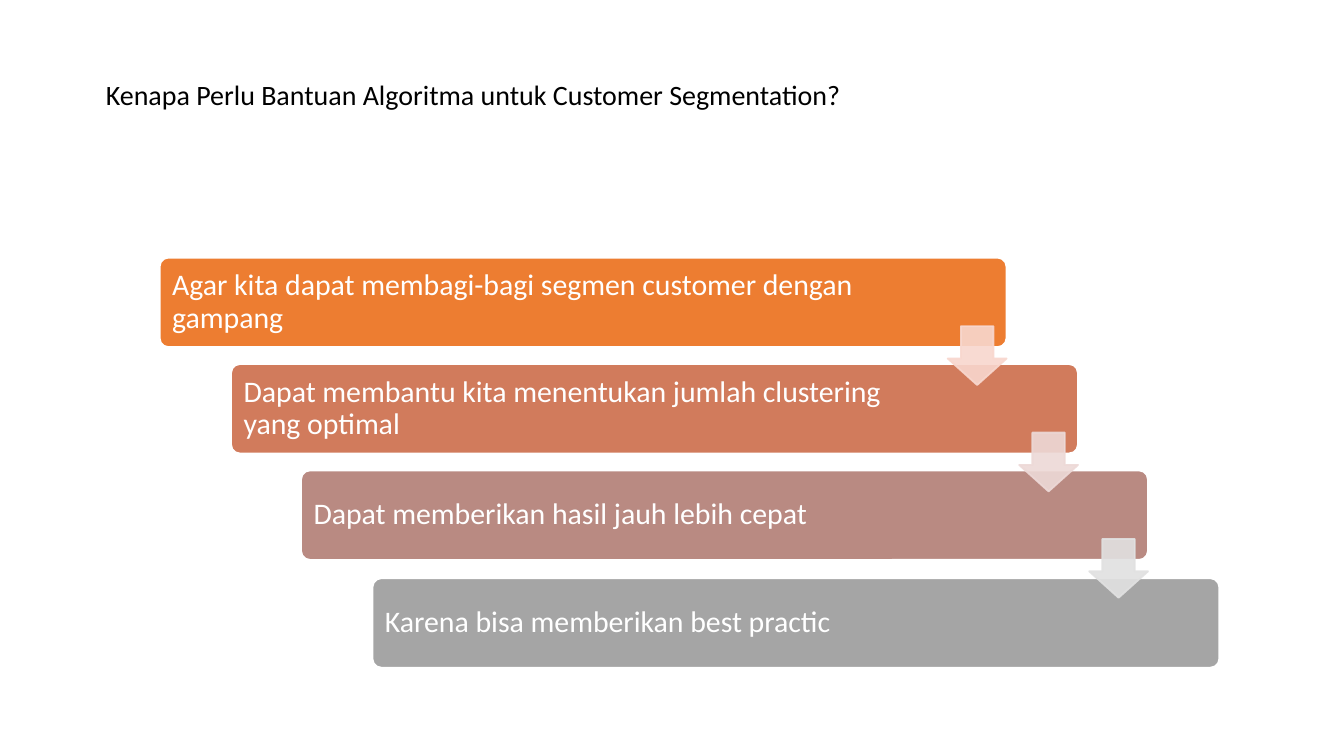
from lxml.etree import SubElement
from pptx import Presentation
from pptx.dml.color import RGBColor
from pptx.enum.shapes import MSO_SHAPE
from pptx.enum.text import MSO_ANCHOR, MSO_AUTO_SIZE, PP_ALIGN
from pptx.oxml.ns import qn
from pptx.util import Emu, Pt

SCALE = 9525
FONT = "Calibri"
BLACK = RGBColor(0x00, 0x00, 0x00)
WHITE = RGBColor(0xFF, 0xFF, 0xFF)
ORANGE = RGBColor(0xED, 0x7D, 0x31)
RUST = RGBColor(0xD1, 0x7B, 0x5C)
ROSE = RGBColor(0xB9, 0x8A, 0x82)
GRAY = RGBColor(0xA5, 0xA5, 0xA5)
PEACH = RGBColor(0xF8, 0xD7, 0xCE)
BLUSH = RGBColor(0xED, 0xD9, 0xD7)
SILVER = RGBColor(0xE1, 0xE1, 0xE1)

STEPS = [
    ("Agar kita dapat membagi-bagi segmen customer dengan gampang", ORANGE, 530),
    ("Dapat membantu kita menentukan jumlah clustering yang optimal", RUST, 509),
    ("Dapat memberikan hasil jauh lebih cepat", ROSE, 509),
    ("Karena bisa memberikan best practic", GRAY, 509),
]
ARROWS = [PEACH, BLUSH, SILVER]


def px(n):
    return Emu(n * SCALE)


def box(*at):
    return [px(n) for n in at]


def corner(i):
    return 114 + round(i * 50.6), 184 + round(i * 76.2)


def write(frame, text, size, color):
    frame.word_wrap = True
    frame.auto_size = MSO_AUTO_SIZE.NONE
    frame.vertical_anchor = MSO_ANCHOR.MIDDLE
    para = frame.paragraphs[0]
    para.text = text
    para.alignment = PP_ALIGN.LEFT
    para.line_spacing = 0.9
    para.font.name = FONT
    para.font.size = Pt(size)
    para.font.color.rgb = color


def add_title(slide, text):
    title = slide.shapes.title
    title.left, title.top, title.width, title.height = box(66, 29, 828, 104)
    write(title.text_frame, text, 15, BLACK)
    title.text_frame.margin_bottom = px(29)


def add_block(slide, kind, at, fill, line):
    shape = slide.shapes.add_shape(kind, *box(*at))
    shape.shadow.inherit = False
    shape.fill.solid()
    shape.fill.fore_color.rgb = fill
    shape.line.color.rgb = line
    shape.line.width = Pt(1)
    return shape


def add_step(slide, i, text, fill, width):
    x, y = corner(i)
    bar = add_block(slide, MSO_SHAPE.ROUNDED_RECTANGLE, (x, y, 605, 64), fill, WHITE)
    bar.adjustments[0] = 0.1
    label = slide.shapes.add_textbox(*box(x + 2, y + 2, width, 60))
    frame = label.text_frame
    frame.margin_left = frame.margin_right = px(7)
    frame.margin_top = frame.margin_bottom = px(7)
    write(frame, text, 16, WHITE)


def add_arrow(slide, i, color):
    x, y = corner(i)
    arrow = add_block(slide, MSO_SHAPE.DOWN_ARROW, (x + 563, y + 49, 42, 42), color, color)
    arrow.adjustments[0] = 0.55
    arrow.adjustments[1] = 0.45
    for tint in arrow.element.spPr.iter(qn("a:srgbClr")):
        SubElement(tint, qn("a:alpha"), val="90000")


def main():
    deck = Presentation()
    deck.slide_width, deck.slide_height = box(960, 540)
    slide = deck.slides.add_slide(deck.slide_layouts[5])
    add_title(slide, "Kenapa Perlu Bantuan Algoritma untuk Customer Segmentation?")
    for i, step in enumerate(STEPS):
        add_step(slide, i, *step)
    for i, color in enumerate(ARROWS):
        add_arrow(slide, i, color)
    deck.save("out.pptx")


if __name__ == "__main__":
    main()
